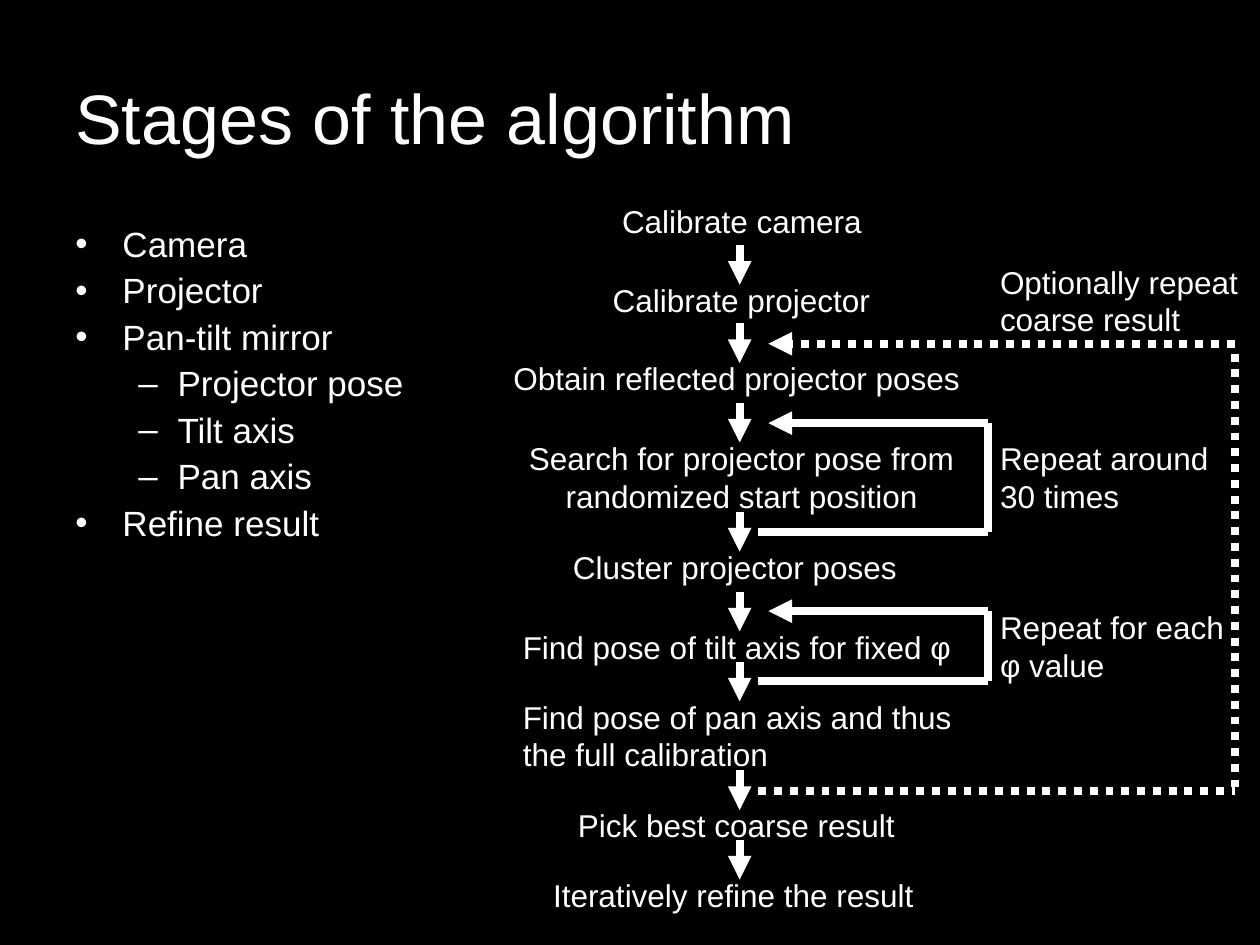
from dataclasses import dataclass, field
from itertools import pairwise

from lxml import etree
from pptx import Presentation
from pptx.dml.color import RGBColor
from pptx.enum.dml import MSO_LINE
from pptx.enum.shapes import MSO_CONNECTOR
from pptx.enum.text import MSO_ANCHOR, MSO_AUTO_SIZE, PP_ALIGN
from pptx.oxml.ns import qn
from pptx.shapes.autoshape import Shape
from pptx.slide import Slide
from pptx.util import Cm, Pt

STRAIGHT = MSO_CONNECTOR.STRAIGHT
DOTTED = MSO_LINE.ROUND_DOT
MIDDLE = MSO_ANCHOR.MIDDLE
FIT_SHAPE = MSO_AUTO_SIZE.SHAPE_TO_FIT_TEXT
LEFT = PP_ALIGN.LEFT
CENTER = PP_ALIGN.CENTER


@dataclass(frozen=True)
class Theme:
    background: RGBColor = RGBColor(0, 0, 0)
    foreground: RGBColor = RGBColor(255, 255, 255)
    font: str = "Arial"
    title_size: int = 40
    bullet_size: int = 20
    label_size: int = 18
    line_width: float = 4.5


@dataclass(frozen=True)
class Label:
    text: str
    left: float
    top: float
    width: float
    align: PP_ALIGN = LEFT

    @property
    def height(self) -> float:
        return 1.78 if "\n" in self.text else 1.02


@dataclass(frozen=True)
class Bullet:
    text: str
    level: int = 0


@dataclass(frozen=True)
class BulletStyle:
    character: str
    format: dict = field(default_factory=dict)


@dataclass(frozen=True)
class Loop:
    top: float
    bottom: float
    right: float = 19.91
    riser_gap: float = 0
    dash: MSO_LINE | None = None


THEME = Theme()
FLOW_X, ARROW_LENGTH, ARROW_OVERLAP = 14.91, 0.8, 0.2
LOOP_START, LOOP_HEAD = 15.29, 15.49
NOTE_LEFT = 19.91

STAGES = [
    Label("Calibrate camera", 12.29, 3.94, 5.4),
    Label("Calibrate projector", 12.1, 5.54, 5.75),
    Label("Obtain reflected projector poses", 10.1, 7.12, 9.56),
    Label("Search for projector pose from\nrandomized start position", 10.38, 8.72, 9.14, CENTER),
    Label("Cluster projector poses", 11.3, 10.92, 7.1),
    Label("Find pose of tilt axis for fixed φ", 10.29, 12.53, 9.2),
    Label("Find pose of pan axis and thus\nthe full calibration", 10.29, 13.94, 9.2),
    Label("Pick best coarse result", 11.4, 16.13, 6.95),
    Label("Iteratively refine the result", 10.9, 17.53, 7.83),
]
NOTES = [
    Label("Optionally repeat\ncoarse result", NOTE_LEFT, 5.17, 5.37),
    Label("Repeat around\n30 times", NOTE_LEFT, 8.72, 4.77),
    Label("Repeat for each\nφ value", NOTE_LEFT, 12.13, 5.09),
]
LOOPS = [
    Loop(8.53, 10.72),
    Loop(12.32, 13.72),
    Loop(6.93, 15.95, right=24.89, riser_gap=0.2, dash=DOTTED),
]
BULLETS = [
    Bullet("Camera"),
    Bullet("Projector"),
    Bullet("Pan-tilt mirror"),
    Bullet("Projector pose", 1),
    Bullet("Tilt axis", 1),
    Bullet("Pan axis", 1),
    Bullet("Refine result"),
]
BULLET_STYLES = [
    BulletStyle("•", {"marL": Cm(0.95), "indent": Cm(-0.95)}),
    BulletStyle("–", {"marL": Cm(2.06), "indent": Cm(-0.79)}),
]


def apply_format(target: object, values: dict) -> None:
    """Set every named attribute of the target."""
    for name, value in values.items():
        setattr(target, name, value)


def add_text(slide: Slide, label: Label, size: int, height: float, frame_format: dict) -> Shape:
    """Add a text box with one paragraph for each line of the label."""
    shape = slide.shapes.add_textbox(Cm(label.left), Cm(label.top), Cm(label.width), Cm(height))
    shape.text_frame.text = label.text
    apply_format(shape.text_frame, frame_format)
    for paragraph in shape.text_frame.paragraphs:
        paragraph.alignment = label.align
        for run in paragraph.runs:
            apply_format(run.font, {"name": THEME.font, "size": Pt(size)})
            run.font.color.rgb = THEME.foreground
    return shape


def add_label(slide: Slide, label: Label) -> None:
    """Add an unwrapped diagram label."""
    add_text(slide, label, THEME.label_size, label.height, {"word_wrap": False, "auto_size": FIT_SHAPE})


def add_bullets(slide: Slide, bullets: list[Bullet]) -> None:
    """Add the bulleted list on the left."""
    label = Label("\n".join(bullet.text for bullet in bullets), 1.27, 4.45, 23.29)
    shape = add_text(slide, label, THEME.bullet_size, 6.78, {"word_wrap": True})
    for index, (bullet, paragraph) in enumerate(zip(bullets, shape.text_frame.paragraphs)):
        style = BULLET_STYLES[bullet.level]
        properties = paragraph._p.get_or_add_pPr()
        for name, value in style.format.items():
            properties.set(name, str(int(value)))
        etree.SubElement(properties, qn("a:buFont"), typeface=THEME.font)
        etree.SubElement(properties, qn("a:buChar"), char=style.character)
        spacing = Pt(5 if index else 0)
        apply_format(paragraph, {"level": bullet.level, "line_spacing": 0.9, "space_before": spacing})


def add_line(
    slide: Slide,
    start: tuple[float, float],
    end: tuple[float, float],
    arrow: bool = False,
    dash: MSO_LINE | None = None,
) -> None:
    """Add a straight line, optionally dotted or with an arrowhead."""
    connector = slide.shapes.add_connector(STRAIGHT, *map(Cm, start + end))
    connector.line.color.rgb = THEME.foreground
    apply_format(connector.line, {"width": Pt(THEME.line_width), "dash_style": dash})
    if arrow:
        etree.SubElement(connector.line._get_or_add_ln(), qn("a:tailEnd"), type="triangle")
    etree.SubElement(connector._element.spPr, qn("a:effectLst"))


def add_loop(slide: Slide, loop: Loop) -> None:
    """Add the three lines that lead back to an earlier stage."""
    add_line(slide, (LOOP_START, loop.bottom), (loop.right, loop.bottom), dash=loop.dash)
    add_line(slide, (loop.right, loop.top + loop.riser_gap), (loop.right, loop.bottom), dash=loop.dash)
    add_line(slide, (loop.right, loop.top), (LOOP_HEAD, loop.top), arrow=True, dash=loop.dash)


def main() -> None:
    """Build and save the slide."""
    presentation = Presentation()
    apply_format(presentation, {"slide_width": Cm(25.4), "slide_height": Cm(19.05)})
    slide = presentation.slides.add_slide(presentation.slide_layouts[6])
    slide.background.fill.solid()
    slide.background.fill.fore_color.rgb = THEME.background

    title = Label("Stages of the algorithm", 1.27, 0.76, 22.86)
    add_text(slide, title, THEME.title_size, 3.18, {"word_wrap": True, "vertical_anchor": MIDDLE})
    add_bullets(slide, BULLETS)
    for label in STAGES + NOTES:
        add_label(slide, label)
    for _, following in pairwise(STAGES):
        tip = following.top + ARROW_OVERLAP
        add_line(slide, (FLOW_X, tip - ARROW_LENGTH), (FLOW_X, tip), arrow=True)
    for loop in LOOPS:
        add_loop(slide, loop)
    presentation.save("out.pptx")


if __name__ == "__main__":
    main()
